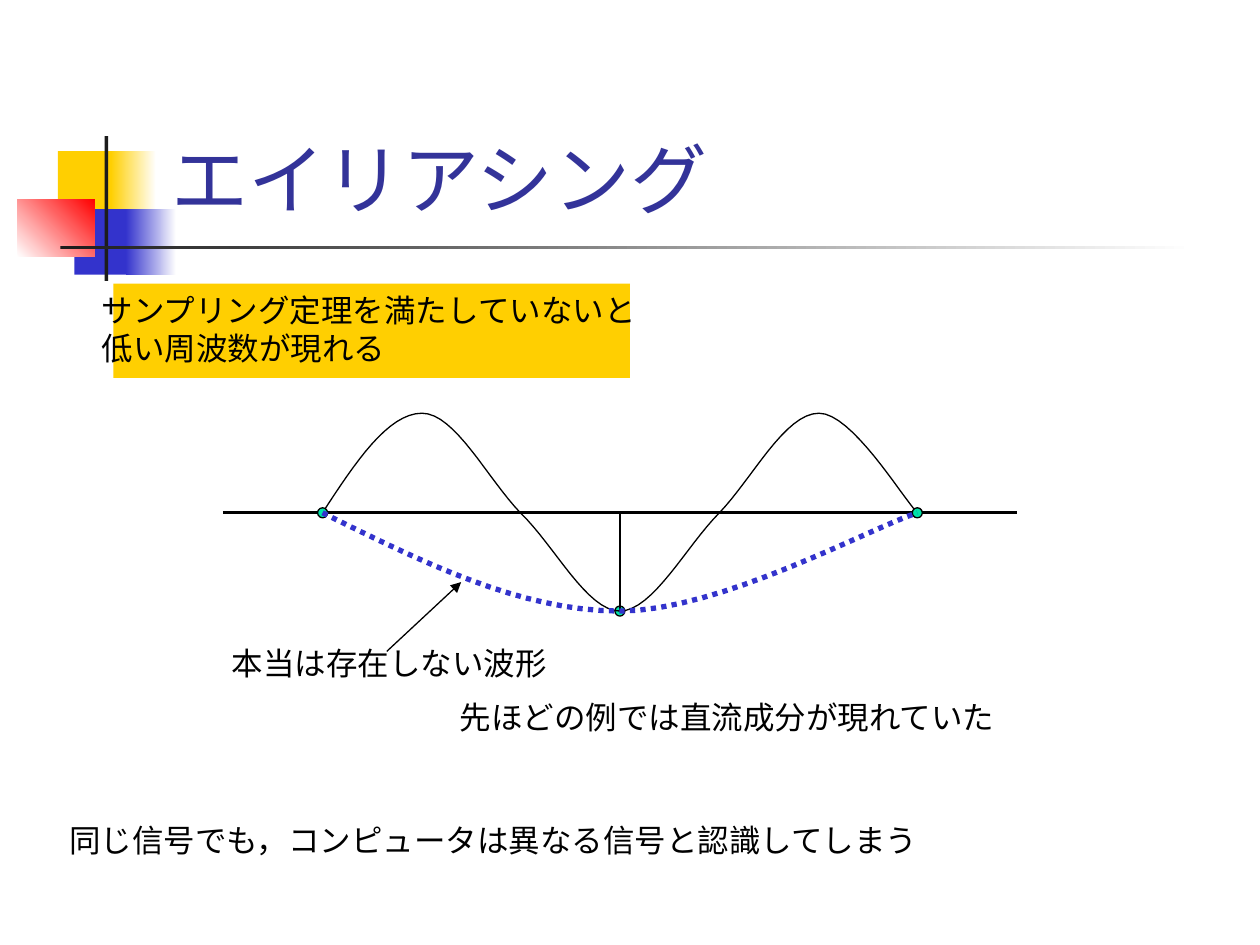
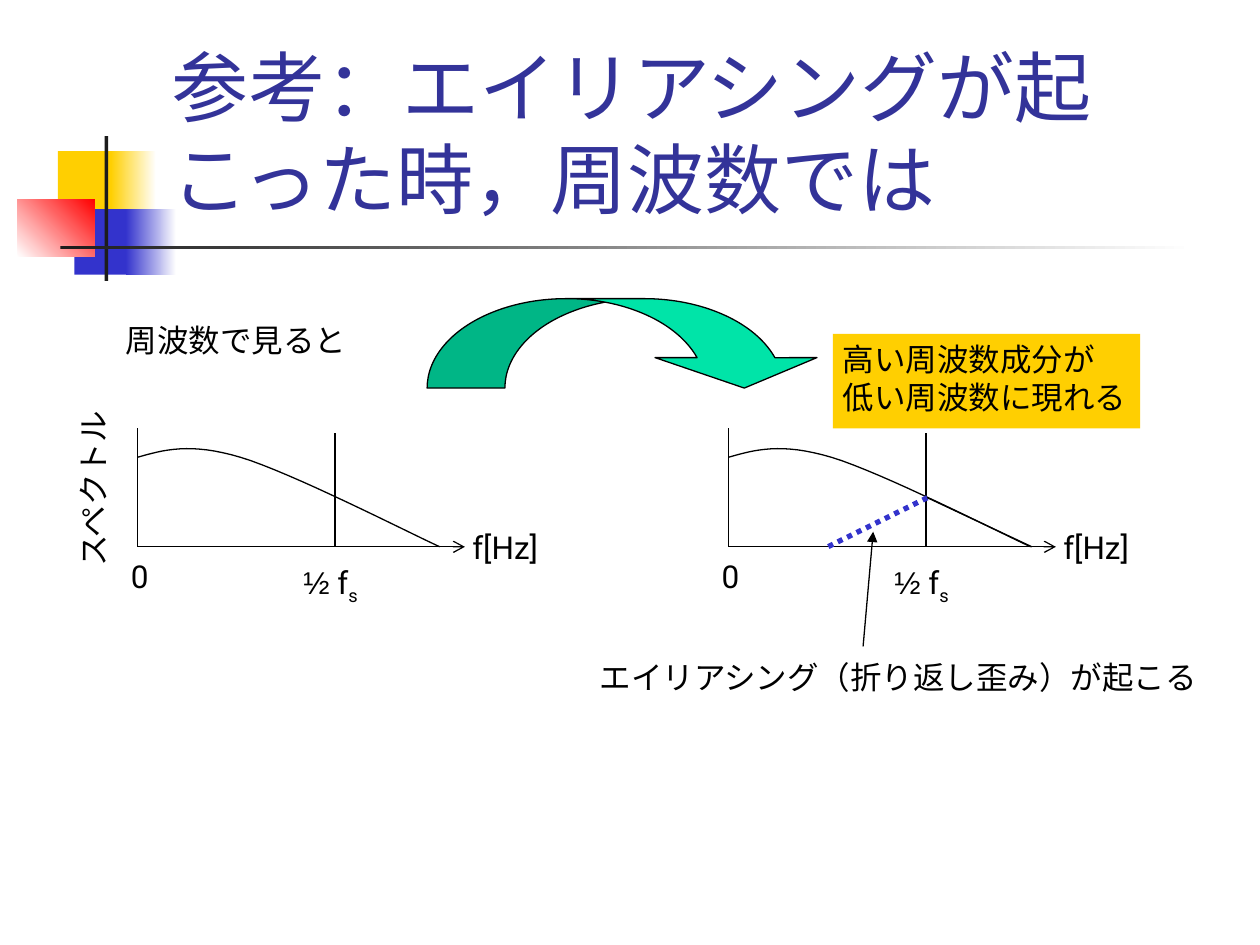
"""Build two slides on aliasing in time and in frequency."""
import dataclasses
import itertools
import typing

import lxml.etree
import pptx
import pptx.dml.color
import pptx.enum.dml
import pptx.enum.shapes
import pptx.enum.text
import pptx.oxml.ns
import pptx.util

SCALE = 9144
FACE = "Roboto"
STEPS = 16
COLORS = {
    "black": "000000", "white": "FFFFFF", "gold": "FFCF01", "blue": "3333CC",
    "red": "FF0000", "dark": "1C1C1C", "title": "333399", "green": "00E4A8",
}
SHAPE = pptx.enum.shapes.MSO_SHAPE
ANCHOR = pptx.enum.text.MSO_ANCHOR
FIT = pptx.enum.text.MSO_AUTO_SIZE
Point = tuple[int, int]


@dataclasses.dataclass(frozen=True)
class Box:
    """Place and size in px."""
    x: int
    y: int
    w: int
    h: int

    def emu(self) -> list[int]:
        """Give the four lengths in EMU."""
        return [n * SCALE for n in (self.x, self.y, self.w, self.h)]


@dataclasses.dataclass(frozen=True)
class Block:
    """Filled box, fading to a second colour if one is given."""
    box: Box
    fill: str
    fade: str = ""
    angle: int = 0


@dataclasses.dataclass(frozen=True)
class Run:
    """Piece of text with its font and baseline."""
    text: str
    face: str = FACE
    base: int = 0


@dataclasses.dataclass(frozen=True)
class Stroke:
    """Straight line with an optional arrowhead."""
    start: Point
    end: Point
    color: str = "black"
    width: float = 0.75
    dots: bool = False
    head: str = ""


DECOR = [
    Block(Box(46, 120, 48, 52), "gold"),
    Block(Box(88, 120, 36, 52), "gold", "white"),
    Block(Box(59, 166, 46, 52), "blue"),
    Block(Box(100, 166, 40, 52), "blue", "white"),
    Block(Box(14, 158, 61, 46), "white", "red", 45),
    Block(Box(83, 108, 3, 115), "dark"),
    Block(Box(48, 195, 900, 3), "dark", "white"),
]


def tint(name: str) -> pptx.dml.color.RGBColor:
    """Look up a colour by name."""
    return pptx.dml.color.RGBColor.from_string(COLORS[name])


def pen(line: typing.Any, color: str = "black", width: float = 0.75, dots: bool = False) -> None:
    """Set colour, width and dash of a line."""
    line.color.rgb = tint(color)
    line.width = pptx.util.Pt(width)
    if dots:
        line.dash_style = pptx.enum.dml.MSO_LINE.ROUND_DOT


def block(slide: typing.Any, part: Block) -> None:
    """Draw a box without outline."""
    shape = slide.shapes.add_shape(SHAPE.RECTANGLE, *part.box.emu())
    shape.shadow.inherit = False
    shape.line.fill.background()
    if part.fade:
        shape.fill.gradient()
        shape.fill.gradient_angle = part.angle
        for stop, name in zip(shape.fill.gradient_stops, (part.fill, part.fade)):
            stop.color.rgb = tint(name)
    else:
        shape.fill.solid()
        shape.fill.fore_color.rgb = tint(part.fill)


def mark(slide: typing.Any, kind: typing.Any, box: Box, *bends: float) -> None:
    """Draw a green preset shape with a thin outline."""
    shape = slide.shapes.add_shape(kind, *box.emu())
    shape.shadow.inherit = False
    shape.fill.solid()
    shape.fill.fore_color.rgb = tint("green")
    pen(shape.line)
    for index, bend in enumerate(bends):
        shape.adjustments[index] = bend


def write(slide: typing.Any, text: str, box: Box, *, size: int = 18, color: str = "black",
          face: str = FACE, wrap: bool = False, anchor: typing.Any = ANCHOR.TOP,
          fit: typing.Any = FIT.SHAPE_TO_FIT_TEXT, turn: int = 0,
          more: typing.Sequence[Run] = ()) -> None:
    """Add a text box, with a paragraph per line and more runs at the end."""
    shape = slide.shapes.add_textbox(*box.emu())
    shape.rotation = turn
    frame = shape.text_frame
    frame.word_wrap, frame.auto_size, frame.vertical_anchor = wrap, fit, anchor
    rows = [[Run(row, face)] for row in text.split("\n")]
    rows[-1].extend(more)
    for index, row in enumerate(rows):
        para = frame.add_paragraph() if index else frame.paragraphs[0]
        for part in row:
            run = para.add_run()
            run.text = part.text
            run.font.name, run.font.size = part.face, pptx.util.Pt(size)
            run.font.color.rgb = tint(color)
            props = run._r.get_or_add_rPr()
            lxml.etree.SubElement(props, pptx.oxml.ns.qn("a:ea"), typeface=part.face)
            if part.base:
                props.set("baseline", str(part.base))


def draw(slide: typing.Any, stroke: Stroke) -> None:
    """Draw a straight line."""
    ends = [n * SCALE for n in stroke.start + stroke.end]
    link = slide.shapes.add_connector(pptx.enum.shapes.MSO_CONNECTOR.STRAIGHT, *ends)
    pen(link.line, stroke.color, stroke.width, stroke.dots)
    props = link._element.spPr
    if stroke.head:
        lxml.etree.SubElement(props.find(pptx.oxml.ns.qn("a:ln")),
                              pptx.oxml.ns.qn("a:tailEnd"), type=stroke.head)
    lxml.etree.SubElement(props, pptx.oxml.ns.qn("a:effectLst"))


def trace(knots: list[Point]) -> list[tuple[float, float]]:
    """Sample a chain of cubic curves, in EMU."""
    spots = [(knots[0][0] * SCALE, knots[0][1] * SCALE)]
    for first, step in itertools.product(range(0, len(knots) - 1, 3), range(1, STEPS + 1)):
        t = step / STEPS
        parts = ((1 - t) ** 3, 3 * t * (1 - t) ** 2, 3 * t * t * (1 - t), t ** 3)
        group = knots[first:first + 4]
        x, y = (sum(p * k[axis] for p, k in zip(parts, group)) * SCALE for axis in (0, 1))
        spots.append((x, y))
    return spots


def curve(slide: typing.Any, knots: list[Point], **style: typing.Any) -> None:
    """Draw an open smooth curve."""
    spots = trace(knots)
    path = slide.shapes.build_freeform(*spots[0])
    path.add_line_segments(spots[1:], close=False)
    shape = path.convert_to_shape()
    shape.shadow.inherit = False
    shape.fill.background()
    pen(shape.line, **style)


def start(deck: typing.Any, title: str, panel: Box) -> typing.Any:
    """Add a slide with its decor, gold panel and title."""
    slide = deck.slides.add_slide(deck.slide_layouts[6])
    for part in DECOR + [Block(panel, "gold")]:
        block(slide, part)
    write(slide, title, Box(126, 23, 852, 160), size=44, color="title",
          wrap=True, anchor=ANCHOR.BOTTOM, fit=FIT.NONE)
    return slide


def graph(slide: typing.Any, x: int) -> None:
    """Draw a spectrum with its axes and labels."""
    base = 434
    draw(slide, Stroke((x, 340), (x, base)))
    draw(slide, Stroke((x, base), (x + 260, base), head="arrow"))
    curve(slide, [(x, 363), (x + 21, 357), (x + 42, 351), (x + 82, 363),
                  (x + 122, 375), (x + 214, 422), (x + 240, base)])
    draw(slide, Stroke((x + 157, 344), (x + 157, base)))
    write(slide, "½", Box(x + 122, 442, 64, 44), face="Arial", wrap=True,
          more=[Run(" f"), Run("s", base=-25000)])
    write(slide, "0", Box(x - 15, 437, 34, 40))
    write(slide, "f[Hz]", Box(x + 256, 414, 75, 40))


def time(deck: typing.Any) -> None:
    """Build the slide on false waves."""
    slide = start(deck, "エイリアシング", Box(90, 225, 410, 75))
    left, mid, right, axis, low = 256, 492, 728, 407, 485
    dots = [Box(x - 4, y - 4, 8, 8) for x, y in ((mid, low), (left, axis), (right, axis))]
    mark(slide, SHAPE.OVAL, dots[0])
    draw(slide, Stroke((177, axis), (807, axis), width=1.5))
    curve(slide, [(left, axis), (282, 367), (308, 328), (335, 328),
                  (361, 328), (387, 380), (413, axis),
                  (440, 433), (466, low), (mid, low),
                  (518, low), (545, 433), (571, axis),
                  (597, 380), (623, 328), (650, 328),
                  (676, 328), (715, 393), (right, axis)])
    draw(slide, Stroke((mid, axis), (mid, low), width=1.5))
    for dot in dots[1:]:
        mark(slide, SHAPE.OVAL, dot)
    curve(slide, [(left, axis), (335, 446), (413, low), (mid, low),
                  (571, low), (689, 420), (right, axis)], color="blue", width=3, dots=True)
    write(slide, "サンプリング定理を満たしていないと\n低い周波数が現れる", Box(71, 226, 445, 70))
    draw(slide, Stroke((307, 517), (366, 462), head="triangle"))
    write(slide, "本当は存在しない波形", Box(174, 506, 270, 40))
    write(slide, "先ほどの例では直流成分が現れていた", Box(355, 549, 445, 40))
    write(slide, "同じ信号でも，コンピュータは異なる信号と認識してしまう", Box(45, 647, 695, 40))


def bands(deck: typing.Any) -> None:
    """Build the slide on folded spectra."""
    slide = start(deck, "参考：エイリアシングが起こった時，周波数では", Box(661, 265, 244, 75))
    write(slide, "周波数で見ると", Box(90, 250, 195, 40))
    for x in (109, 578):
        graph(slide, x)
    fold = (736, 395)
    draw(slide, Stroke(fold, (657, 434), "blue", 3, True))
    draw(slide, Stroke(fold, (819, 434)))
    draw(slide, Stroke((685, 513), (693, 422), head="triangle"))
    write(slide, "エイリアシング（折り返し歪み）が起こる", Box(466, 517, 495, 40))
    mark(slide, SHAPE.CURVED_DOWN_ARROW, Box(339, 237, 316, 71), 0.87, 1.81, 0.34)
    write(slide, "高い周波数成分が\n低い周波数に現れる", Box(659, 265, 245, 70))
    write(slide, "スペクトル", Box(1, 367, 145, 40), turn=270)


def main() -> None:
    """Build and save the deck."""
    deck = pptx.Presentation()
    deck.slide_width, deck.slide_height = 1000 * SCALE, 750 * SCALE
    time(deck)
    bands(deck)
    deck.save("out.pptx")


if __name__ == "__main__":
    main()
